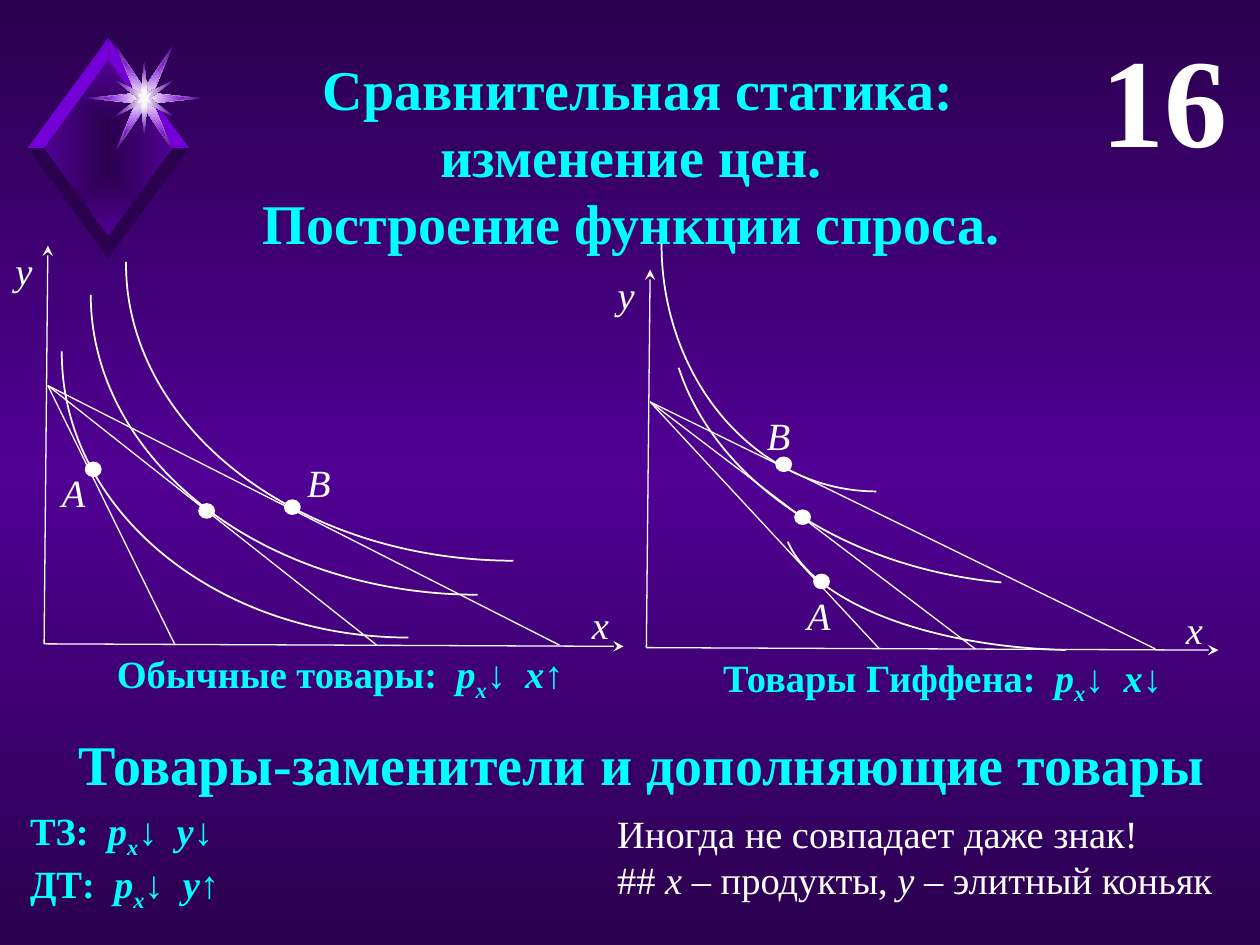
from lxml import etree
from pptx import Presentation
from pptx.dml.color import RGBColor
from pptx.enum.shapes import MSO_CONNECTOR, MSO_SHAPE
from pptx.enum.text import MSO_ANCHOR, MSO_AUTO_SIZE, PP_ALIGN
from pptx.oxml import parse_xml
from pptx.oxml.ns import nsdecls, qn
from pptx.util import Inches, Pt

LEFT, CENTER, RIGHT = PP_ALIGN.LEFT, PP_ALIGN.CENTER, PP_ALIGN.RIGHT
TOP = MSO_ANCHOR.TOP
GROW, NO_GROW = MSO_AUTO_SIZE.SHAPE_TO_FIT_TEXT, MSO_AUTO_SIZE.NONE
ARC, OVAL = MSO_SHAPE.ARC, MSO_SHAPE.OVAL
STRAIGHT = MSO_CONNECTOR.STRAIGHT
FONT = "Times New Roman"
COLORS = {"dark": "2A004E", "purple": "500093", "violet": "7500D7",
          "cyan": "00FFFF", "white": "FFFFFF", "core": "F9F9F9"}

# Grid: 100 columns by 75 rows of equal size
prs = Presentation()
prs.slide_width, prs.slide_height = Inches(10), Inches(7.5)
UNIT = prs.slide_width / 100


def grid(*values):
    return [round(v * UNIT) for v in values]


def rgb(name):
    return RGBColor.from_string(COLORS[name])


def set_gradient(element, names, direction):
    """Replace the first solid fill in element by an even gradient."""
    stops = "".join(
        f'<a:gs pos="{round(i * 100000 / (len(names) - 1))}">'
        f'<a:srgbClr val="{COLORS[name]}"/></a:gs>'
        for i, name in enumerate(names))
    solid = element.xpath(".//a:solidFill")[0]
    solid.getparent().replace(solid, parse_xml(
        f'<a:gradFill {nsdecls("a")} rotWithShape="1">'
        f'<a:gsLst>{stops}</a:gsLst>{direction}</a:gradFill>'))


def write(s, paragraphs, size=22, color="white", bold=False, italic=False,
          align=LEFT, inset=None, grow=True):
    """Each paragraph is a list of (text, style): i = italic, s = subscript."""
    tf = s.text_frame
    tf.word_wrap = True
    tf.auto_size = GROW if grow else NO_GROW
    tf.vertical_anchor = TOP
    if inset is not None:
        margin = grid(inset)[0]
        tf.margin_left = tf.margin_right = margin
        tf.margin_top = tf.margin_bottom = margin
    for i, runs in enumerate(paragraphs):
        p = tf.add_paragraph() if i else tf.paragraphs[0]
        p.alignment = align
        for text, style in runs:
            r = p.add_run()
            r.text = text
            r.font.name, r.font.size = FONT, Pt(size)
            r.font.bold, r.font.italic = bold, italic or style != ""
            r.font.color.rgb = rgb(color)
            if style == "s":
                r.font._element.set("baseline", "-25000")
    return s


def add_text(slide, box, paragraphs, **fmt):
    return write(slide.shapes.add_textbox(*grid(*box)), paragraphs, **fmt)


def effect(label, good, arrow):
    """Price of x falls, quantity of the good moves by the arrow."""
    return [(label, ""), ("p", "i"), ("x", "s"), ("↓  ", ""),
            (good, "i"), (arrow, "")]


def add_polygon(slide, center, points, *fills):
    cx, cy = center
    pts = [grid(cx + x, cy + y) for x, y in points]
    builder = slide.shapes.build_freeform(*pts[0], scale=1.0)
    builder.add_line_segments(pts[1:], close=True)
    s = builder.convert_to_shape()
    s.shadow.inherit = False
    s.line.fill.background()
    s.fill.solid()
    s.fill.fore_color.rgb = rgb(fills[0])
    if len(fills) > 1:
        set_gradient(s._element, fills,
                     '<a:path path="rect"><a:fillToRect l="50000" t="50000" '
                     'r="50000" b="50000"/></a:path>')


def add_line(slide, start, end, arrow=False):
    s = slide.shapes.add_connector(STRAIGHT, *grid(*start, *end))
    s.line.color.rgb, s.line.width = rgb("white"), Pt(0.75)
    if arrow:
        etree.SubElement(s.line._get_or_add_ln(), qn("a:tailEnd"),
                         type="stealth")
    etree.SubElement(s._element.spPr, qn("a:effectLst"))


def add_outline(slide, kind, box):
    s = slide.shapes.add_shape(kind, *grid(*box))
    s.shadow.inherit = False
    s.line.color.rgb, s.line.width = rgb("white"), Pt(1)
    return s


def emblem(slide, x, y, w, h):
    """Bevelled diamond with a layered star, in the given box."""
    center = (x + w / 2, y + h / 2)
    outer_w, outer_h = w / 2, h / 2
    inner_w, inner_h = outer_w * 0.8, outer_h * 0.8
    add_polygon(slide, center, [(0, -inner_h), (-inner_w, 0), (0, inner_h),
                                (inner_w, 0)], "dark", "purple")
    for side_y, color in ((-1, "violet"), (1, "dark")):
        for side_x in (1, -1):
            add_polygon(slide, center,
                        [(0, side_y * inner_h), (0, side_y * outer_h),
                         (side_x * outer_w, 0), (side_x * inner_w, 0)], color)
    # One quarter of each star, mirrored to the other three
    stars = [
        ([(4.55, 0), (0.7, 0.4), (2.25, 4.15), (0, 0.8)], "white", "purple"),
        ([(3.3, 0), (0.7, 0.4), (1.65, 3.05), (0, 0.8)], "white", "violet"),
        ([(0.45, 0), (2.35, 1.45), (0.25, 0.4), (0, 2.9)], "white", "purple"),
        ([(0.25, 0), (0.55, 0.4), (0.1, 0.2), (0, 0.7)], "core"),
    ]
    for quarter, *fills in stars:
        half = quarter + [(-px, py) for px, py in quarter[-2::-1]]
        full = half + [(px, -py) for px, py in half[-2:0:-1]]
        add_polygon(slide, (center[0] + 2.85, center[1] - 3.95), full, *fills)


def demand_panel(slide, box, start, curves, budget_ends, dots, labels, caption):
    """Axes, indifference curves, budget lines, optimum points and caption."""
    x, y, w, h = box
    for left, top, width, height, *angles in curves:
        s = add_outline(slide, ARC, (x + left, y + top, width, height))
        s.fill.background()
        s.rotation = 180
        s.adjustments[0], s.adjustments[1] = angles
    add_line(slide, (x, y + h), (x + 0.3, y), arrow=True)
    add_line(slide, (x, y + h), (x + w, y + h + 0.2), arrow=True)
    for end in budget_ends:
        add_line(slide, (x + 0.3, y + start), (x + end, y + h + 0.1))
    for left, top in dots:
        s = add_outline(slide, OVAL, (x + left, y + top, 1.2, 1.1))
        s.fill.solid()
        s.fill.fore_color.rgb = rgb("white")
    for name, left, top, width in labels:
        add_text(slide, (x + left, y + top, width, 5), [[(name, "")]],
                 italic=True, align=CENTER, inset=0.1, grow=False)
    add_text(slide, (x + 1.4, y + h, 44.2, 4.7), [caption],
             color="cyan", bold=True, align=CENTER)


def header(slide, x, y, w, h):
    title = slide.shapes.title
    title.left, title.top, title.width, title.height = grid(x, y, w, h)
    lines = (" Сравнительная статика:", "изменение цен.",
             "Построение функции спроса.")
    write(title, [[(line, "")] for line in lines], size=32, color="cyan",
          bold=True, align=CENTER)
    add_text(slide, (x + 83.9, y - 2.6, 12.5, 13.1), [[("16", "")]], size=72,
             bold=True, align=RIGHT)


def related_goods(slide, x, y, w, h):
    """Substitutes and complements: heading, effects and a remark."""
    add_text(slide, (x + 0.9, y, w - 0.9, 6.4),
             [[(" Товары-заменители и дополняющие товары", "")]],
             size=32, color="cyan", bold=True, align=CENTER)
    add_text(slide, (x, y + 6.2, 18.2, h - 6.2),
             [effect("ТЗ:  ", "y", "↓"), effect("ДТ:  ", "y", "↑")],
             color="cyan", bold=True)
    add_text(slide, (x + 46.6, y + 6.4, 50.5, h - 6.2),
             [[("Иногда не совпадает даже знак!", "")],
              [("## ", ""), ("x", "i"), (" – продукты, ", ""), ("y", "i"),
               (" – элитный коньяк", "")]])


slide = prs.slides.add_slide(prs.slide_layouts[5])
slide.background.fill.solid()
set_gradient(slide._element, ("dark", "purple", "dark"),
             '<a:lin ang="5400000" scaled="1"/>')
emblem(slide, 2.2, 3, 12.8, 17.5)
header(slide, 2, 3.8, 96.2, 17.2)
# Ordinary goods
demand_panel(
    slide, (3.5, 19.5, 46, 31.6), start=11.1,
    curves=[(1.4, -14, 55, 45.1, 162, 0.2), (3.7, -19.9, 61.4, 47.6, 162, 0),
            (6.5, -22.1, 61.5, 47.1, 162, 0.19)],
    budget_ends=(10.4, 26.4, 40.9),
    dots=[(3.3, 17.2), (12.3, 20.5), (19.1, 20.2)],
    labels=[("x", 40.9, 28.1, 6.5), ("y", -3.5, 0, 3.8),
            ("A", -0.5, 17.6, 5.7), ("B", 18.9, 16.8, 5.8)],
    caption=effect("Обычные товары:  ", "x", "↑"))
# Giffen goods
demand_panel(
    slide, (51.3, 21.4, 45.4, 30), start=10.5,
    curves=[(10.8, 9, 47.5, 21.2, 166.13, 213.08),
            (1.7, -20.1, 60.6, 45.1, 167.83, 209.84),
            (1.2, -21.6, 34.1, 39.2, 162, 0.19)],
    budget_ends=(18.5, 26.1, 40.4),
    dots=[(13.3, 24.2), (11.8, 19.1), (10.3, 14.9)],
    labels=[("x", 40.3, 26.6, 6.4), ("y", -3.5, 0, 3.8),
            ("A", 10.9, 25.5, 5.6), ("B", 7.6, 11.2, 5.8)],
    caption=effect("Товары Гиффена:  ", "x", "↓"))
related_goods(slide, 1.4, 57.4, 97.1, 14.6)
prs.save("out.pptx")
